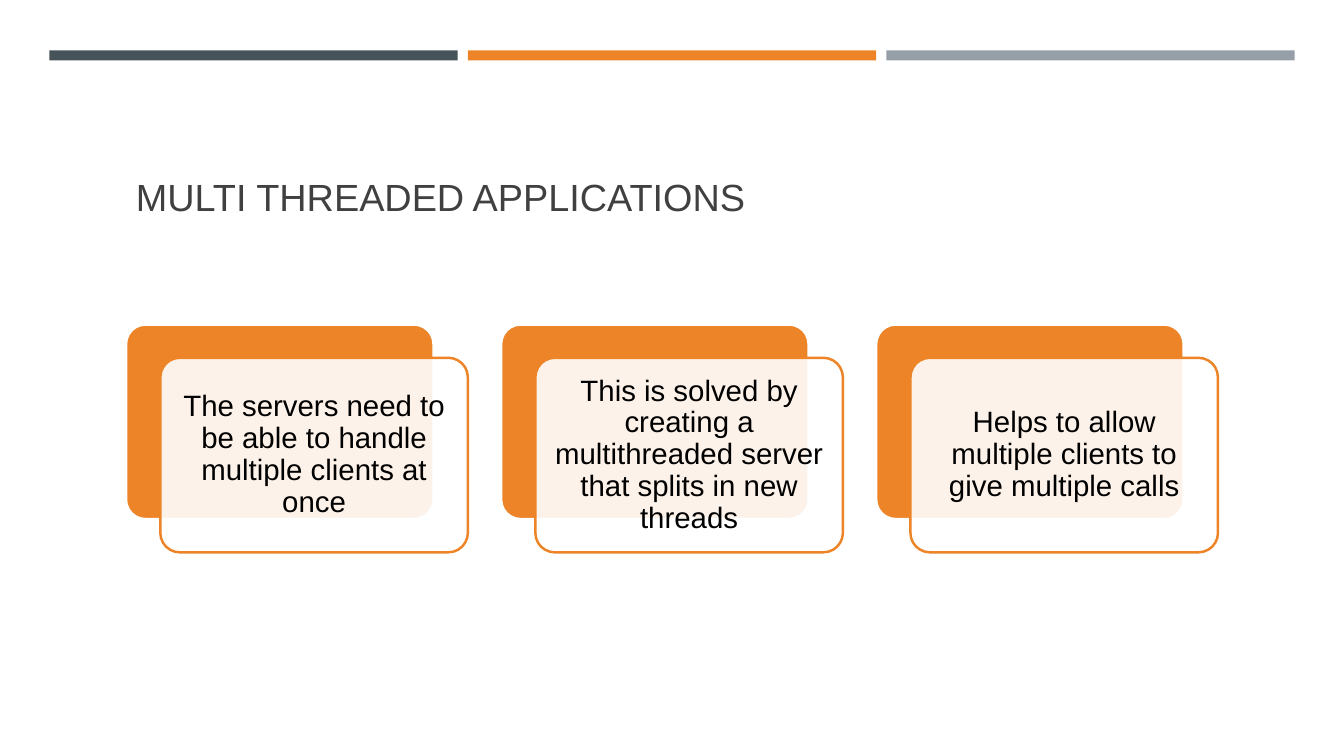
from pptx import Presentation
from pptx.dml.color import RGBColor
from pptx.enum.shapes import MSO_SHAPE as Kind
from pptx.enum.text import MSO_ANCHOR as Anchor, PP_ALIGN as Align
from pptx.oxml.ns import qn
from pptx.util import Inches, Pt
from lxml.etree import SubElement

SLATE = RGBColor(0x46, 0x53, 0x59)
ORANGE = RGBColor(0xED, 0x84, 0x28)
GRAY = RGBColor(0x96, 0x9F, 0xA7)
DARK = RGBColor(0x40, 0x40, 0x40)
BLACK = RGBColor(0, 0, 0)
WHITE = RGBColor(0xFF, 0xFF, 0xFF)


class Deck:
    """Holds the style and the current slide."""
    font = "Arial"
    edge = Pt(1.75)
    curve = 0.1

    def __init__(self, slide):
        self.slide = slide

    def shape(self, kind, box, fill):
        item = self.slide.shapes.add_shape(kind, *map(Inches, box))
        item.shadow.inherit = False
        item.fill.solid()
        item.fill.fore_color.rgb = fill
        return item

    def bar(self, box, fill):
        self.shape(Kind.RECTANGLE, box, fill).line.fill.background()

    def card(self, box, fill, line, alpha=100):
        item = self.shape(Kind.ROUNDED_RECTANGLE, box, fill)
        item.adjustments[0] = self.curve
        item.line.color.rgb = line
        item.line.width = self.edge
        if alpha < 100:
            tone = item.element.spPr.find(qn("a:solidFill"))[0]
            SubElement(tone, qn("a:alpha"), val=str(alpha * 1000))
        return item

    def label(self, item, text, size, color, align, anchor, inset):
        frame = item.text_frame
        frame.text = text
        frame.word_wrap = True
        frame.vertical_anchor = anchor
        frame.margin_left = frame.margin_right = Inches(inset)
        frame.margin_top = frame.margin_bottom = Inches(inset)
        para = frame.paragraphs[0]
        para.alignment = align
        para.line_spacing = 0.9
        font = para.runs[0].font
        font.name, font.size = self.font, Pt(size)
        font.color.rgb = color

    def title(self, box, text):
        item = self.slide.shapes.add_textbox(*map(Inches, box))
        self.label(item, text, 27, DARK, Align.LEFT, Anchor.BOTTOM, 0.1)


show = Presentation()
show.slide_width, show.slide_height = Inches(13.33), Inches(7.5)
deck = Deck(show.slides.add_slide(show.slide_layouts[6]))

# Top bars
for i, tone in enumerate((SLATE, ORANGE, GRAY)):
    deck.bar((0.49 + 4.15 * i, 0.5, 4.05, 0.1), tone)

# Title
deck.title((1.25, 0.67, 10.83, 1.61), "MULTI THREADED APPLICATIONS")

# Cards: an orange back and a see-through front, shifted down and right
NOTES = (
    "The servers need to be able to handle multiple clients at once",
    "This is solved by creating a multithreaded server that splits in new threads",
    "Helps to allow multiple clients to give multiple calls",
)
WIDE, HIGH, STEP = 3.05, 1.93, 3.72
for i, note in enumerate(NOTES):
    left = 1.25 + STEP * i
    deck.card((left, 3.22, WIDE, HIGH), ORANGE, WHITE)
    front = deck.card((left + 0.34, 3.55, WIDE, HIGH), WHITE, ORANGE, 90)
    deck.label(front, note, 21, BLACK, Align.CENTER, Anchor.MIDDLE, 0.09)

show.save("out.pptx")
